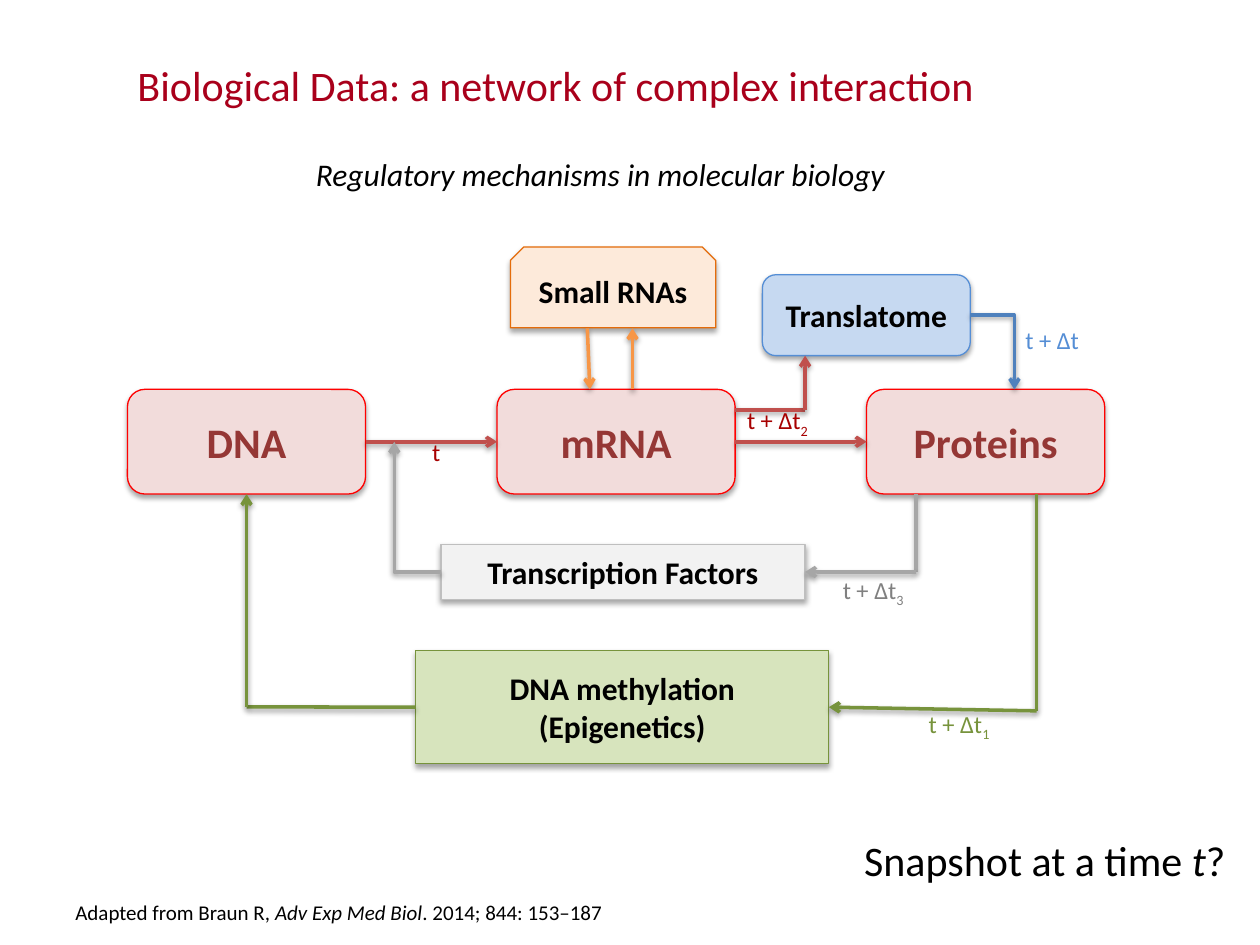
from lxml import etree
from pptx import Presentation
from pptx import util as u
from pptx.dml.color import RGBColor
from pptx.enum import shapes, text
from pptx.oxml import ns

COLORS = {
    "black": "000000", "title": "A9001B", "dark red": "A70000",
    "core fill": "F2DCDB", "core line": "FF0000", "core text": "953735",
    "factor fill": "F2F2F2", "factor line": "BFBFBF", "factor text": "808080",
    "green fill": "D7E4BD", "green": "77933C",
    "orange fill": "FDEADA", "orange line": "E46C0A",
    "blue fill": "C6D9F1", "light blue": "558ED5",
    "red arrow": "C0504D", "orange arrow": "F79646",
    "gray arrow": "A6A6A6", "blue arrow": "4F81BD",
}
ROUND = shapes.MSO_SHAPE.ROUNDED_RECTANGLE
RECT = shapes.MSO_SHAPE.RECTANGLE
SNIP = shapes.MSO_SHAPE.SNIP_2_SAME_RECTANGLE
TOP, LEFT, BOTTOM, RIGHT = range(4)


def rgb(name):
    return RGBColor.from_string(COLORS[name])


def add_shadow(effects, alpha, distance):
    """Put a soft downward shadow into an a:effectLst element."""
    shadow = etree.SubElement(
        effects, ns.qn("a:outerShdw"), blurRad=str(u.Pt(3.1)),
        dist=str(u.Pt(distance)), dir="5400000", rotWithShape="0")
    color = etree.SubElement(shadow, ns.qn("a:srgbClr"), val=COLORS["black"])
    etree.SubElement(color, ns.qn("a:alpha"), val=str(alpha * 1000))


def locate(end):
    """Turn an (x, y) point in cm or a (box, side) pair into slide units."""
    if isinstance(end[0], (int, float)):
        return u.Cm(end[0]), u.Cm(end[1])
    box, side = end
    across = {LEFT: 0, RIGHT: box.width}.get(side, box.width // 2)
    down = {TOP: 0, BOTTOM: box.height}.get(side, box.height // 2)
    return box.left + across, box.top + down


class Diagram:
    def __init__(self, page, font="Calibri"):
        self.page = page
        self.font = font

    def style(self, para, size, color, bold=False, italic=False):
        para.font.name = self.font
        para.font.size = u.Pt(size)
        para.font.bold = bold
        para.font.italic = italic
        para.font.color.rgb = rgb(color)

    def title(self, words, left, top, width, height):
        holder = self.page.shapes.title
        holder.left, holder.top = u.Cm(left), u.Cm(top)
        holder.width, holder.height = u.Cm(width), u.Cm(height)
        frame = holder.text_frame
        frame.text = words
        frame.auto_size = text.MSO_AUTO_SIZE.NONE
        frame.vertical_anchor = text.MSO_ANCHOR.TOP
        frame.paragraphs[0].alignment = text.PP_ALIGN.CENTER
        self.style(frame.paragraphs[0], 24, "title")

    def box(self, kind, words, left, top, width, height, fill, line,
            size=18, color="black"):
        box = self.page.shapes.add_shape(
            kind, u.Cm(left), u.Cm(top), u.Cm(width), u.Cm(height))
        box.fill.solid()
        box.fill.fore_color.rgb = rgb(fill)
        box.line.color.rgb = rgb(line)
        box.line.width = u.Pt(0.75)
        box.shadow.inherit = False
        add_shadow(box._element.spPr.find(ns.qn("a:effectLst")), 35, 1.8)
        box.text_frame.text = words
        box.text_frame.vertical_anchor = text.MSO_ANCHOR.MIDDLE
        for para in box.text_frame.paragraphs:
            para.alignment = text.PP_ALIGN.CENTER
            self.style(para, size, color, bold=True)
        return box

    def link(self, color, start, end, arrow=True, bent=False):
        kinds = shapes.MSO_CONNECTOR
        link = self.page.shapes.add_connector(
            kinds.ELBOW if bent else kinds.STRAIGHT, *locate(start), *locate(end))
        properties = link._element.spPr
        if bent:
            properties.find(ns.qn("a:prstGeom")).set("prst", "bentConnector2")
        else:
            for join, place in ((link.begin_connect, start), (link.end_connect, end)):
                if not isinstance(place[0], (int, float)):
                    join(*place)
        link.line.color.rgb = rgb(color)
        link.line.width = u.Pt(2)
        if arrow:
            etree.SubElement(properties.find(ns.qn("a:ln")),
                             ns.qn("a:tailEnd"), type="arrow")
        add_shadow(etree.SubElement(properties, ns.qn("a:effectLst")), 38, 1.6)

    def label(self, spans, left, top, width, height, size, color="black",
              wrap=False, italic=False):
        """Add a text box from (words, mark) spans; mark is "", "italic" or "sub"."""
        holder = self.page.shapes.add_textbox(
            u.Cm(left), u.Cm(top), u.Cm(width), u.Cm(height))
        frame = holder.text_frame
        frame.word_wrap = wrap
        frame.auto_size = text.MSO_AUTO_SIZE.SHAPE_TO_FIT_TEXT
        para = frame.paragraphs[0]
        self.style(para, size, color, italic=italic)
        for words, mark in spans:
            span = para.add_run()
            span.text = words
            if mark == "italic":
                span.font.italic = True
            elif mark == "sub":
                span._r.get_or_add_rPr().set("baseline", "-25000")

    def delay(self, index, left, top, color):
        spans = [("t + Δt", "")] + ([(index, "sub")] if index else [])
        self.label(spans, left, top, 1.79 if index else 1.6, 0.86, 14, color)


def main():
    deck = Presentation()
    deck.slide_width, deck.slide_height = u.Cm(25.4), u.Cm(19.05)
    page = deck.slides.add_slide(deck.slide_layouts[5])
    diagram = Diagram(page)

    diagram.title("Biological Data: a network of complex interaction",
                  -0.23, 1.07, 22.86, 1.85)
    diagram.label([("Regulatory mechanisms in molecular biology", "")],
                  6.12, 3, 12.17, 1.02, 18, italic=True)

    dna, mrna, proteins = [
        diagram.box(ROUND, name, 2.57 + 7.45 * column, 7.85, 4.8, 2.11,
                    "core fill", "core line", 24, "core text")
        for column, name in enumerate(("DNA", "mRNA", "Proteins"))]
    factors = diagram.box(RECT, "Transcription Factors", 8.89, 10.98, 7.34, 1.1,
                          "factor fill", "factor line")
    methylation = diagram.box(RECT, "DNA methylation\n(Epigenetics)",
                              8.38, 13.11, 8.33, 2.29, "green fill", "green")
    diagram.box(SNIP, "Small RNAs", 10.29, 4.98, 4.14, 1.63,
                "orange fill", "orange line")
    translatome = diagram.box(ROUND, "Translatome", 15.37, 5.54, 4.19, 1.63,
                              "blue fill", "light blue")

    diagram.link("red arrow", (dna, RIGHT), (mrna, LEFT))
    diagram.link("red arrow", (mrna, RIGHT), (proteins, LEFT))
    diagram.link("orange arrow", (12.75, 7.85), (12.75, 6.62))
    diagram.link("orange arrow", (11.84, 6.62), (11.89, 7.85))

    diagram.link("gray arrow", (18.47, 9.96), (18.47, 11.53), arrow=False)
    diagram.link("gray arrow", (18.47, 11.53), (factors, RIGHT))
    diagram.link("gray arrow", (factors, LEFT), (7.95, 8.91), bent=True)

    diagram.link("green", (20.9, 9.96), (20.9, 14.33), arrow=False)
    diagram.link("green", (20.9, 14.33), (methylation, RIGHT))
    diagram.link("green", (methylation, LEFT), (4.97, 14.25), arrow=False)
    diagram.link("green", (4.97, 14.25), (dna, BOTTOM))

    diagram.link("red arrow", (14.82, 8.26), (16.23, 8.26), arrow=False)
    diagram.link("red arrow", (16.23, 8.26), (16.23, 7.17))
    diagram.link("blue arrow", (translatome, RIGHT), (20.45, 7.85), bent=True)

    diagram.label([("t", "")], 8.46, 8.69, 0.76, 0.86, 14, "dark red", wrap=True)
    diagram.delay("", 20.42, 6.43, "light blue")
    diagram.delay("2", 14.81, 8.05, "dark red")
    diagram.delay("1", 18.47, 14.17, "green")
    diagram.delay("3", 16.74, 11.46, "factor text")

    diagram.label([("Snapshot at a time ", ""), ("t", "italic"), ("?", "")],
                  17.17, 16.69, 8.05, 1.27, 24)
    diagram.label([("Adapted from Braun R, ", ""), ("Adv Exp Med Biol", "italic"),
                   (". 2014; 844: 153–187", "")],
                  1.27, 18.01, 14.12, 0.76, 12, wrap=True)
    deck.save("out.pptx")


if __name__ == "__main__":
    main()
